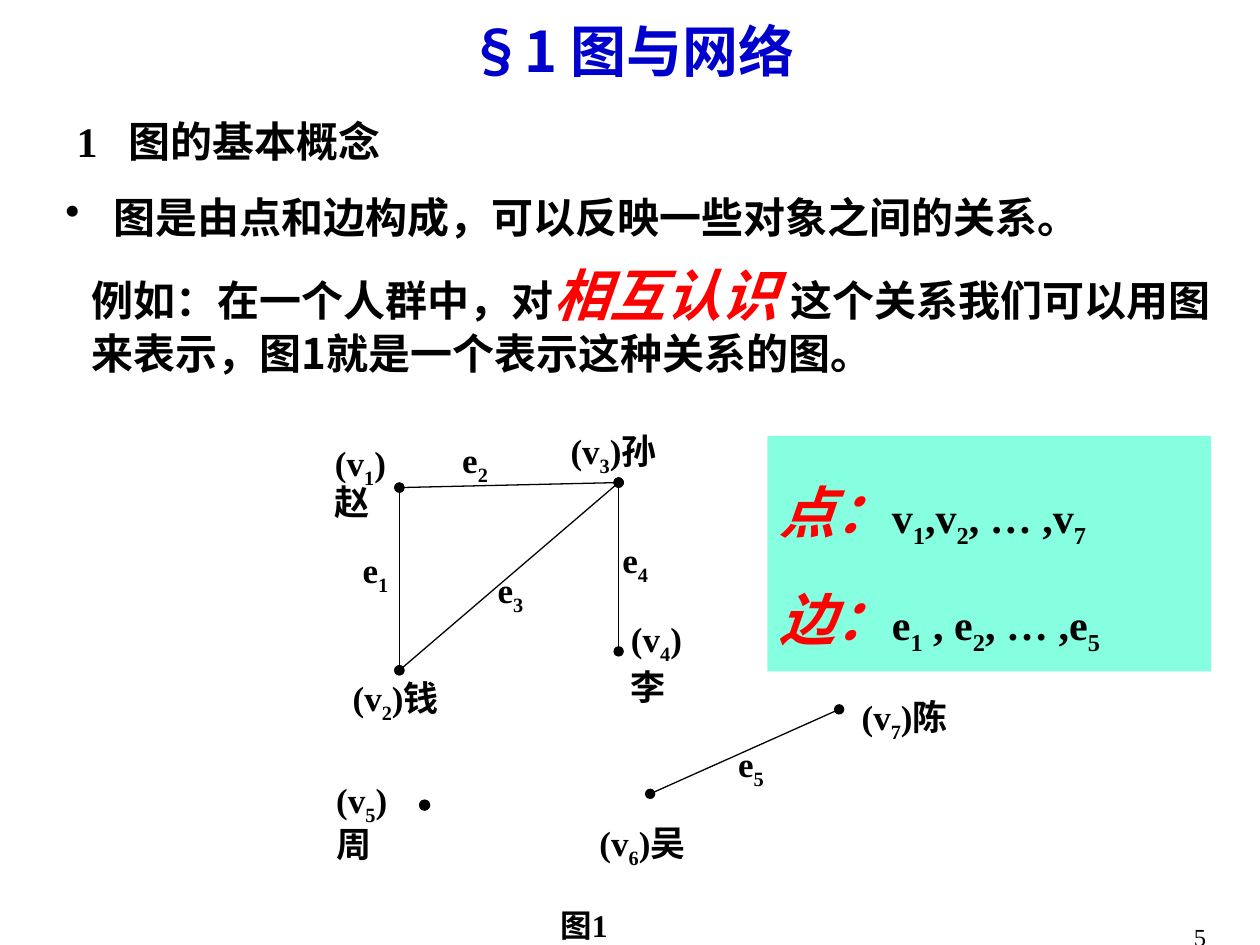
from dataclasses import dataclass

from lxml import etree
from pptx import Presentation
from pptx.dml.color import RGBColor
from pptx.enum.shapes import MSO_CONNECTOR, MSO_SHAPE
from pptx.enum.text import MSO_ANCHOR as Anchor, PP_ALIGN as Align
from pptx.oxml.ns import qn
from pptx.util import Inches, Pt


@dataclass(frozen=True)
class Theme:
    black: str = "000000"
    white: str = "FFFFFF"
    blue: str = "0000CC"
    red: str = "FF0000"
    mint: str = "85FFE0"
    serif: str = "Times New Roman"
    sans: str = "Noto Sans CJK SC"
    big: int = 32
    body: int = 24
    label: int = 20
    caption: int = 18
    page: int = 14
    line: float = 0.75


THEME = Theme()

# Places inside the graph's box, in inches
VERTICES = {
    1: (0.61, 0.51), 2: (0.61, 1.96), 3: (2.35, 0.47), 4: (2.35, 1.81),
    5: (0.81, 3.03), 6: (2.6, 2.94), 7: (4.1, 2.27),
}
EDGES = [(2, 1), (3, 2), (3, 1), (7, 6), (3, 4)]
VERTEX_LABELS = [
    (["(v_1)", "赵"], (0, 0.25, 0.67, 0.56), 0.4),
    (["(v_2)钱"], (0.14, 1.96, 1.25, 0.48), None),
    (["(v_3)孙"], (1.87, 0, 1.17, 0.48), None),
    (["(v_4)李"], (2.35, 1.49, 0.67, 0.82), None),
    (["(v_5)", "周"], (0.01, 2.9, 0.67, 0.63), 0.5),
    (["(v_6)吴"], (2.1, 3.11, 1.17, 0.48), None),
    (["(v_7)陈"], (4.18, 2.11, 1, 0.48), None),
]
EDGE_LABELS = [(0.22, 1.1), (1.01, 0.23), (1.29, 1.26), (2.28, 1.02), (3.2, 2.64)]


def color(value):
    return RGBColor.from_string(value)


def add_span(para, text, size, ink, font, bold=True, italic=False, lowered=False):
    span = para.add_run()
    span.text = text
    span.font.size, span.font.bold, span.font.italic = Pt(size), bold, italic
    span.font.color.rgb = color(ink)
    span.font.name = font
    props = span.font._element
    etree.SubElement(props, qn("a:ea")).set("typeface", THEME.sans)
    if lowered:
        props.set("baseline", "-25000")


def add_marked(para, text, **style):
    """Add text in which the character after each underscore is a subscript."""
    first, *rest = text.split("_")
    add_span(para, first, **style)
    for part in rest:
        add_span(para, part[0], lowered=True, **style)
        if part[1:]:
            add_span(para, part[1:], **style)


def add_text(page, box, paras, size=THEME.body, ink=THEME.black, font=THEME.serif,
             bold=True, align=Align.LEFT, anchor=Anchor.TOP, spacing=None,
             before=0, fill=None, bullet=None, tab=None):
    """Place paragraphs, each a string or a list of (text, changes to the style)."""
    place = [Inches(value) for value in box]
    if fill:
        shape = page.shapes.add_shape(MSO_SHAPE.RECTANGLE, *place)
        shape.shadow.inherit = False
        shape.fill.solid()
        shape.fill.fore_color.rgb = color(fill)
        shape.line.fill.background()
    else:
        shape = page.shapes.add_textbox(*place)
    frame = shape.text_frame
    frame.word_wrap = True
    frame.vertical_anchor = anchor
    style = dict(size=size, ink=ink, font=font, bold=bold)
    for index, content in enumerate(paras):
        para = frame.add_paragraph() if index else frame.paragraphs[0]
        para.alignment = align
        if spacing:
            para.line_spacing = spacing
        if index and before:
            para.space_before = Pt(before)
        props = para._p.get_or_add_pPr()
        if bullet:
            indent = Inches(0.38)
            props.set("marL", str(indent))
            props.set("indent", str(-indent))
            etree.SubElement(props, qn("a:buChar")).set("char", bullet)
        if tab:
            stops = etree.SubElement(props, qn("a:tabLst"))
            etree.SubElement(stops, qn("a:tab"), pos=str(Inches(tab)), algn="l")
        spans = [(content, {})] if isinstance(content, str) else content
        for text, changes in spans:
            add_marked(para, text, **{**style, **changes})
    return shape


def add_edge(page, start, end):
    """Draw a line with a round dot at each end."""
    ends = [Inches(value) for value in (*start, *end)]
    edge = page.shapes.add_connector(MSO_CONNECTOR.STRAIGHT, *ends)
    edge.line.color.rgb = color(THEME.black)
    edge.line.width = Pt(THEME.line)
    line = edge.line._get_or_add_ln()
    for tag in ("a:headEnd", "a:tailEnd"):
        etree.SubElement(line, qn(tag)).set("type", "oval")
    etree.SubElement(edge._element.spPr, qn("a:effectLst"))


def add_dot(page, center, size=0.08):
    x, y = center
    dot = page.shapes.add_shape(MSO_SHAPE.OVAL, Inches(x - size / 2),
                                Inches(y - size / 2), Inches(size), Inches(size))
    dot.shadow.inherit = False
    dot.fill.solid()
    dot.fill.fore_color.rgb = color(THEME.black)
    dot.line.color.rgb = color(THEME.black)
    dot.line.width = Pt(THEME.line)


def add_graph(page, box):
    left, top, width, height = box
    points = {key: (left + x, top + y) for key, (x, y) in VERTICES.items()}
    for start, end in EDGES:
        add_edge(page, points[start], points[end])
    add_dot(page, points[5])
    for paras, (x, y, wide, high), spacing in VERTEX_LABELS:
        add_text(page, (left + x, top + y, wide, high), paras,
                 size=THEME.label, spacing=spacing, before=12.5)
    for number, (x, y) in enumerate(EDGE_LABELS, 1):
        add_text(page, (left + x, top + y, 0.55, 0.25), [f"e_{number}"],
                 size=THEME.label, spacing=0.4)
    add_text(page, (left + 1.79, top + height - 0.4, 1.34, 0.4), ["图1"],
             size=THEME.caption)


def add_headings(page, box):
    left, top, width, height = box
    add_text(page, (left, top, width, 0.54), ["§1 图与网络"], size=THEME.big,
             ink=THEME.blue, font=THEME.sans, align=Align.CENTER,
             anchor=Anchor.MIDDLE, spacing=0.6)
    add_text(page, (left + 0.08, top + height - 0.71, 2.91, 0.71),
             ["1\t图的基本概念"], anchor=Anchor.MIDDLE, tab=0.41)


def add_explanation(page, box):
    left, top, width, height = box
    add_text(page, (left, top, width, 0.79),
             ["图是由点和边构成，可以反映一些对象之间的关系。"], bullet="•")
    example = [
        ("例如：在一个人群中，对", {}),
        ("相互认识 ", dict(size=THEME.big, ink=THEME.red, italic=True)),
        ("这个关系我们可以用图来表示，图1就是一个表示这种关系的图。", {}),
    ]
    add_text(page, (left + 0.21, top + height - 1.04, width - 0.21, 1.04),
             [example], font=THEME.sans, fill=THEME.white)


def add_legend(page, box):
    key = dict(size=THEME.big, ink=THEME.red, italic=True)
    rows = [("点：", "v_1,v_2, … ,v_7"), ("边：", "e_1 , e_2, … ,e_5")]
    add_text(page, box, [[(name, key), (items, {})] for name, items in rows],
             spacing=1.5, fill=THEME.mint)


def main():
    deck = Presentation()
    deck.slide_width, deck.slide_height = Inches(10), Inches(7.5)
    page = deck.slides.add_slide(deck.slide_layouts[6])
    add_headings(page, (0.43, 0.21, 9.17, 1.26))
    add_explanation(page, (0.42, 1.47, 9.58, 1.59))
    add_graph(page, (2.56, 3.36, 5.18, 4.18))
    add_legend(page, (6.09, 3.46, 3.52, 1.87))
    add_text(page, (8.92, 7.27, 0.75, 0.5), ["5"], size=THEME.page,
             bold=False, align=Align.RIGHT)
    deck.save("out.pptx")


if __name__ == "__main__":
    main()
